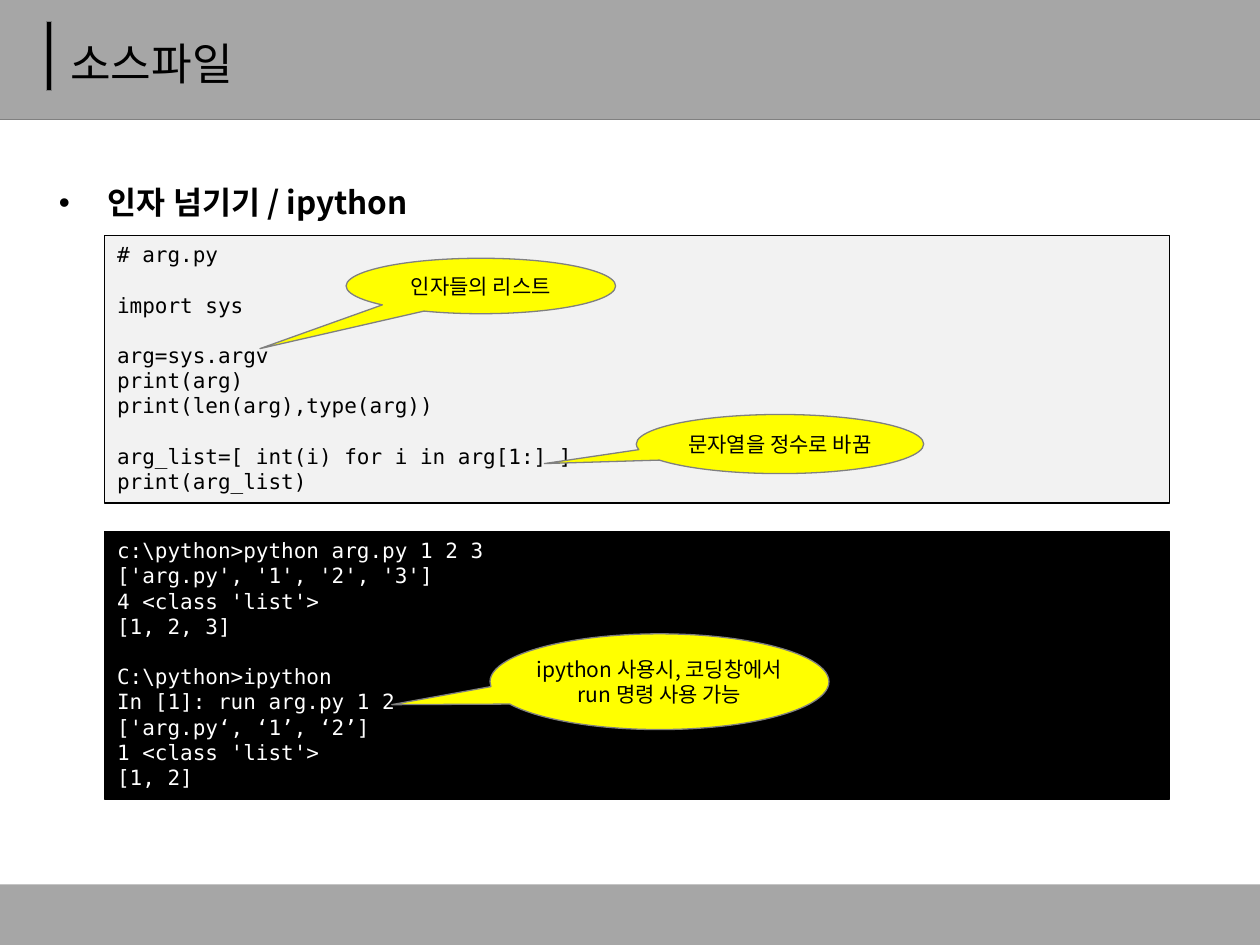
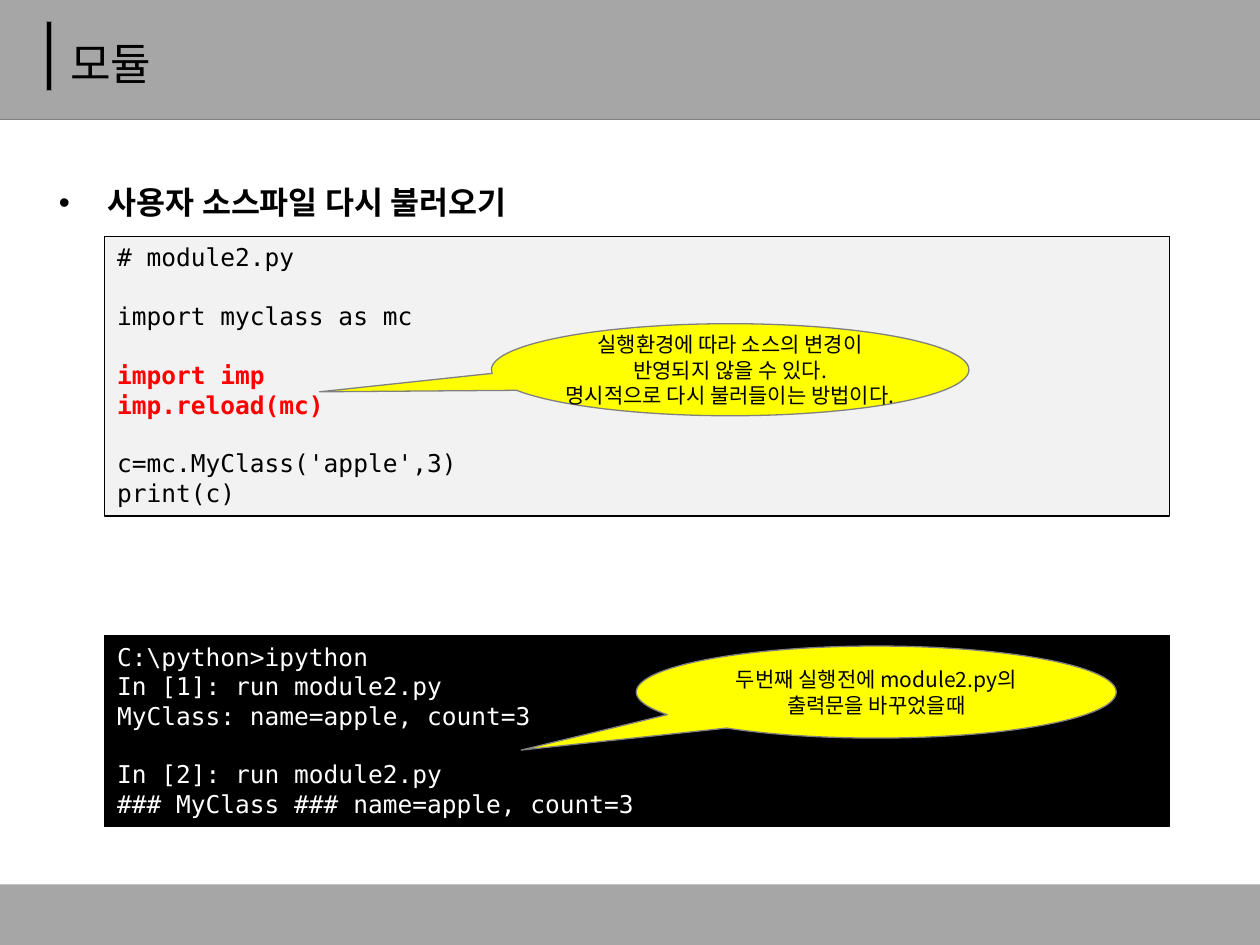
from lxml import etree
from pptx import Presentation
from pptx import util as u
from pptx.dml.color import RGBColor
from pptx.enum import shapes, text
from pptx.oxml import ns

Pt = u.Pt
KIND = shapes.MSO_SHAPE
HUE = dict(band="A6A6A6", edge="808080", ink="000000", paper="F2F2F2",
           night="000000", light="FFFFFF", note="FFFF00", hot="FF0000")
SANS, MONO = "Noto Sans CJK KR", "DejaVu Sans Mono"
LEAD = 1.2  # line pitch per point of type
LEFT, WIDE = 59.8, 608.4  # shared by all code panels

# Content: panels are (top, height, dark, code), notes are (box, tip, lines)
PAGES = [
    dict(
        title="소스파일", head="인자 넘기기 / ipython", size=12, hot=(),
        panels=[
            (134.6, 152.9, False, r"""# arg.py

import sys

arg=sys.argv
print(arg)
print(len(arg),type(arg))

arg_list=[ int(i) for i in arg[1:] ]
print(arg_list)"""),
            (303.8, 152.9, True, r"""c:\python>python arg.py 1 2 3
['arg.py', '1', '2', '3']
4 <class 'list'>
[1, 2, 3]

C:\python>ipython
In [1]: run arg.py 1 2
['arg.py‘, ‘1’, ‘2’]
1 <class 'list'>
[1, 2]"""),
        ],
        notes=[
            ((363.6, 236.9, 164.2, 33.8), (-0.82, 0.33), ["문자열을 정수로 바꿈"]),
            ((197.8, 147.6, 154, 31.7), (-0.82, 1.13), ["인자들의 리스트"]),
            ((280, 362.2, 193.7, 54.7), (-0.79, 0.24),
             ["ipython 사용시, 코딩창에서", "run 명령 사용 가능"]),
        ],
    ),
    dict(
        title="모듈", head="사용자 소스파일 다시 불러오기", size=14,
        hot=("import imp", "imp.reload(mc)"),
        panels=[
            (135, 159.8, False, r"""# module2.py

import myclass as mc

import imp
imp.reload(mc)

c=mc.MyClass('apple',3)
print(c)"""),
            (363.2, 109, True, r"""C:\python>ipython
In [1]: run module2.py
MyClass: name=apple, count=3

In [2]: run module2.py
### MyClass ### name=apple, count=3"""),
        ],
        notes=[
            ((280.8, 185, 272.9, 52.6), (-0.86, 0.24),
             ["실행환경에 따라 소스의 변경이", "반영되지 않을 수 있다.",
              "명시적으로 다시 불러들이는 방법이다."]),
            ((363.6, 369.2, 274.3, 52.6), (-0.74, 0.63),
             ["두번째 실행전에 module2.py의", "출력문을 바꾸었을때"]),
        ],
    ),
]


def rgb(key):
    return RGBColor.from_string(HUE[key])


def style(para, face, size, hue="ink", bold=False):
    font = para.font
    font.size, font.bold, font.name = Pt(size), bold, face
    font.color.rgb = rgb(hue)
    base = para._p.pPr.find(ns.qn("a:defRPr"))
    etree.SubElement(base, ns.qn("a:ea"), typeface=face)


def shape(page, kind, box, fill, edge=None):
    item = page.shapes.add_shape(kind, *map(Pt, box))
    item.shadow.inherit = False
    item.fill.solid()
    item.fill.fore_color.rgb = rgb(fill)
    if edge:
        item.line.color.rgb = rgb(edge)
        item.line.width = Pt(0.75)
    else:
        item.line.fill.background()
    return item


def label(page, box, drop, words):
    """Add a one-line text box whose text starts drop points below its top."""
    frame = page.shapes.add_textbox(*map(Pt, box)).text_frame
    frame.word_wrap = True
    frame.margin_top = Pt(drop)
    para = frame.paragraphs[0]
    para.text = words
    return para


def fill_lines(frame, lines, face, size, align, hue="ink", hot=()):
    """Write lines at a fixed pitch; an empty line becomes space before."""
    pitch, gap, first = LEAD * size, 0, True
    for line in lines:
        if not line:
            gap += pitch
            continue
        para = frame.paragraphs[0] if first else frame.add_paragraph()
        para.text, para.alignment = line, align
        para.line_spacing = Pt(pitch)
        if gap:
            para.space_before = Pt(gap)
        mark = line in hot
        style(para, face, size, "hot" if mark else hue, mark)
        gap, first = 0, False


def frame_page(page, title, head):
    # Bands, rule and title bar
    shape(page, KIND.RECTANGLE, (0, -0.7, 720, 68.7), "band")
    rule = page.shapes.add_connector(
        shapes.MSO_CONNECTOR.STRAIGHT, 0, Pt(68.2), Pt(720), Pt(68.2))
    rule.line.color.rgb = rgb("edge")
    rule.line.width = Pt(0.75)
    etree.SubElement(rule._element.spPr, ns.qn("a:effectLst"))
    shape(page, KIND.RECTANGLE, (26.6, 12.2, 2.9, 39.6), "ink", "edge")
    shape(page, KIND.RECTANGLE, (0, 505.4, 720, 34.6), "band")

    # Bulleted heading and title
    para = label(page, (26.6, 82.8, 668.2, 370.8), 22, head)
    props = para._p.get_or_add_pPr()
    props.set("marL", str(Pt(28)))
    props.set("indent", str(-Pt(28)))
    etree.SubElement(props, ns.qn("a:buFont"), typeface="Arial")
    etree.SubElement(props, ns.qn("a:buChar"), char="•")
    style(para, SANS, 18, bold=True)
    style(label(page, (33.1, 10.1, 620.6, 44.6), 10.7, title), SANS, 25.2)


def add_panel(page, top, high, dark, code, size, hot):
    box = (LEFT, top, WIDE, high)
    item = shape(page, KIND.RECTANGLE, box, "night" if dark else "paper", "ink")
    frame = item.text_frame
    frame.word_wrap = True
    frame.vertical_anchor = text.MSO_ANCHOR.TOP
    fill_lines(frame, code.split("\n"), MONO, size, text.PP_ALIGN.LEFT,
               "light" if dark else "ink", hot)


def add_note(page, box, tip, lines):
    item = shape(page, KIND.OVAL_CALLOUT, box, "note", "edge")
    item.adjustments[0], item.adjustments[1] = tip
    frame = item.text_frame
    frame.word_wrap = False
    frame.vertical_anchor = text.MSO_ANCHOR.MIDDLE
    fill_lines(frame, lines, SANS, 12, text.PP_ALIGN.CENTER)


def main():
    deck = Presentation()
    deck.slide_width, deck.slide_height = Pt(720), Pt(540)
    for info in PAGES:
        page = deck.slides.add_slide(deck.slide_layouts[6])
        frame_page(page, info["title"], info["head"])
        for panel in info["panels"]:
            add_panel(page, *panel, info["size"], info["hot"])
        for note in info["notes"]:
            add_note(page, *note)
    deck.save("out.pptx")


if __name__ == "__main__":
    main()
